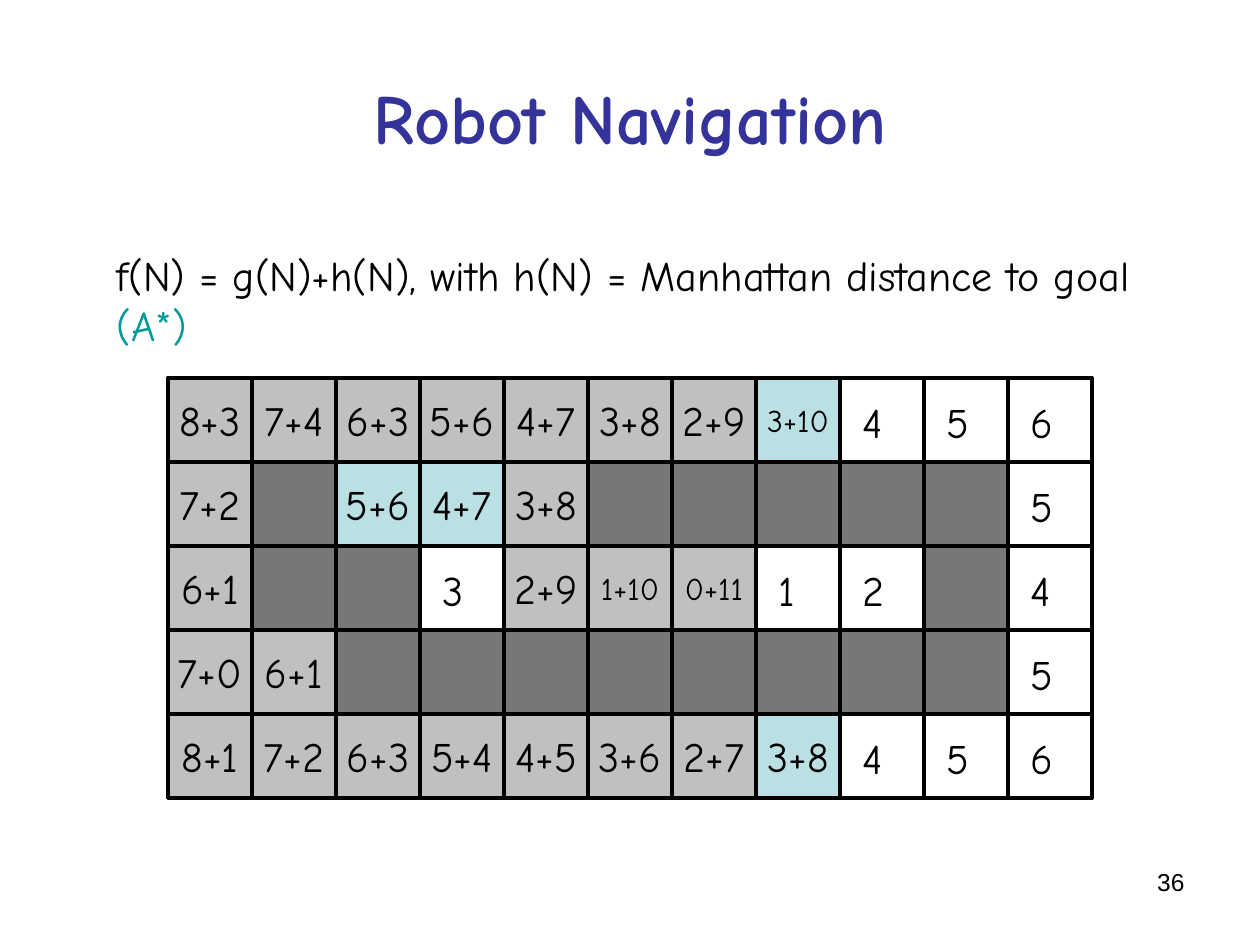
from lxml.etree import SubElement
from pptx import Presentation
from pptx.dml.color import RGBColor
from pptx.enum.shapes import MSO_CONNECTOR as Connector, MSO_SHAPE as Shape
from pptx.enum.text import MSO_ANCHOR as Anchor, MSO_AUTO_SIZE as AutoSize, PP_ALIGN as Align
from pptx.oxml.ns import qn
from pptx.util import Inches, Pt

BLACK = RGBColor(0x00, 0x00, 0x00)
TITLE_BLUE = RGBColor(0x33, 0x33, 0x99)
TEAL = RGBColor(0x00, 0x99, 0x99)
WALL = RGBColor(0x77, 0x77, 0x77)
EXPANDED = RGBColor(0xC0, 0xC0, 0xC0)
FRONTIER = RGBColor(0xBB, 0xE0, 0xE3)

# Maze: "#" is a wall, "g+h" an expanded cell, "*" marks the frontier,
# and a lone number is the distance of an unvisited cell
MAZE = [row.split() for row in (
    "8+3 7+4 6+3 5+6 4+7 3+8 2+9 *3+10 4 5 6",
    "7+2 # *5+6 *4+7 3+8 # # # # # 5",
    "6+1 # # 3 2+9 1+10 0+11 1 2 # 4",
    "7+0 6+1 # # # # # # # # 5",
    "8+1 7+2 6+3 5+4 4+5 3+6 2+7 *3+8 4 5 6",
)]
CELL = 2 / 3
LEFT, TOP = 4 / 3, 3
COLUMNS, ROWS = len(MAZE[0]), len(MAZE)
RIGHT, BOTTOM = LEFT + COLUMNS * CELL, TOP + ROWS * CELL


class SlideBuilder:
    """Holds the slide style and the page being drawn."""

    font = "Comic Neue"
    line_width = Pt(2.25)

    def __init__(self, deck):
        self.page = deck.slides.add_slide(deck.slide_layouts[5])

    def add_span(self, para, text, align=Align.LEFT, size=24, color=BLACK, **formats):
        para.alignment = align
        span = para.add_run()
        span.text = text
        span.font.color.rgb = color
        for name, value in {"name": self.font, "size": Pt(size), **formats}.items():
            setattr(span.font, name, value)

    def title(self, text, left, top, width, height):
        box = self.page.shapes.title
        place = {"left": left, "top": top, "width": width, "height": height}
        for name, value in place.items():
            setattr(box, name, Inches(value))
        box.text_frame.vertical_anchor = Anchor.MIDDLE
        self.add_span(box.text_frame.paragraphs[0], text, Align.CENTER, 40, TITLE_BLUE, bold=True)

    def text(self, lines, left, top, width, height, wrap=False, **formats):
        """Add a text box; lines holds (text, color) pairs."""
        box = self.page.shapes.add_textbox(*map(Inches, (left, top, width, height)))
        frame = box.text_frame
        frame.word_wrap = wrap
        frame.auto_size = AutoSize.NONE if wrap else AutoSize.SHAPE_TO_FIT_TEXT
        for index, (words, color) in enumerate(lines):
            para = frame.add_paragraph() if index else frame.paragraphs[0]
            self.add_span(para, words, color=color, **formats)

    def rectangle(self, left, top, width, height, fill=None, label=""):
        box = self.page.shapes.add_shape(
            Shape.RECTANGLE, *map(Inches, (left, top, width, height)))
        box.shadow.inherit = False
        if fill is None:
            box.fill.background()
        else:
            box.fill.solid()
            box.fill.fore_color.rgb = fill
        box.line.color.rgb = BLACK
        box.line.width = self.line_width
        if label:
            frame = box.text_frame
            frame.word_wrap = False
            frame.vertical_anchor = Anchor.MIDDLE
            size = 18 if len(label) > 3 else 24
            self.add_span(frame.paragraphs[0], label, Align.CENTER, size)

    def line(self, x1, y1, x2, y2):
        line = self.page.shapes.add_connector(
            Connector.STRAIGHT, *map(Inches, (x1, y1, x2, y2)))
        line.line.color.rgb = BLACK
        line.line.width = self.line_width
        SubElement(line._element.spPr, qn("a:effectLst"))

    def cell(self, left, top, content):
        if content == "#":
            self.rectangle(left, top, CELL, CELL, WALL)
        elif "+" in content:
            fill = FRONTIER if content.startswith("*") else EXPANDED
            self.rectangle(left, top, CELL, CELL, fill, content.lstrip("*"))
        else:
            width = 0.35 if content == "1" else 0.4
            self.text([(content, BLACK)], left + 0.08, top + 0.1, width, 0.5)


def main():
    deck = Presentation()
    deck.slide_width, deck.slide_height = Inches(10), Inches(7.5)
    builder = SlideBuilder(deck)

    # Heading, evaluation function and page number
    builder.title("Robot Navigation", 0.5, 0.3, 9, 1.25)
    builder.text([("f(N) = g(N)+h(N), with h(N) = Manhattan distance to goal", BLACK),
                  ("(A*)", TEAL)], 0.83, 1.93, 9.04, 0.9)
    builder.text([("36", BLACK)], 7.17, 6.83, 2.33, 0.52, wrap=True,
                 align=Align.RIGHT, size=14, name="Arial")

    # Grid frame and inner lines
    builder.rectangle(LEFT, TOP, RIGHT - LEFT, BOTTOM - TOP)
    for column in range(1, COLUMNS):
        x = LEFT + column * CELL
        builder.line(x, TOP, x, BOTTOM)
    for row in range(1, ROWS):
        y = TOP + row * CELL
        builder.line(LEFT, y, RIGHT, y)

    # Cells
    for row, contents in enumerate(MAZE):
        for column, content in enumerate(contents):
            builder.cell(LEFT + column * CELL, TOP + row * CELL, content)

    deck.save("out.pptx")


if __name__ == "__main__":
    main()
